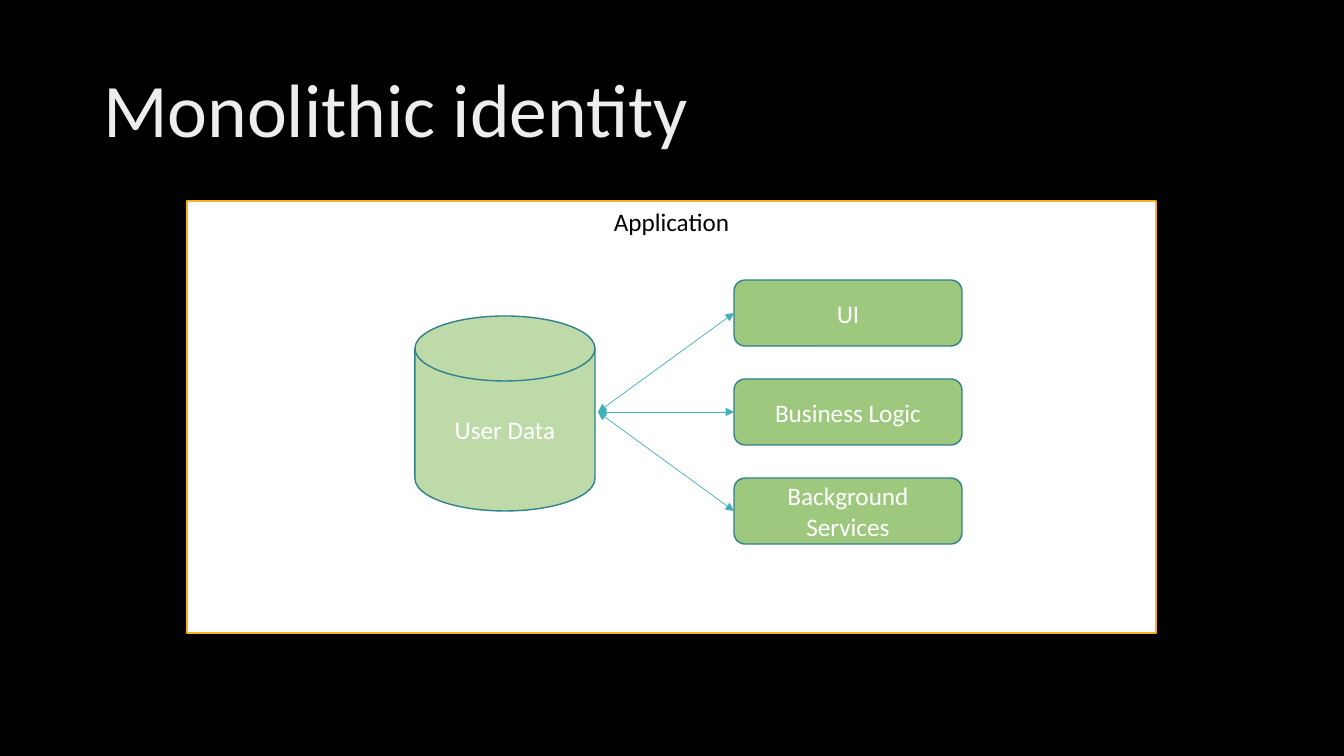
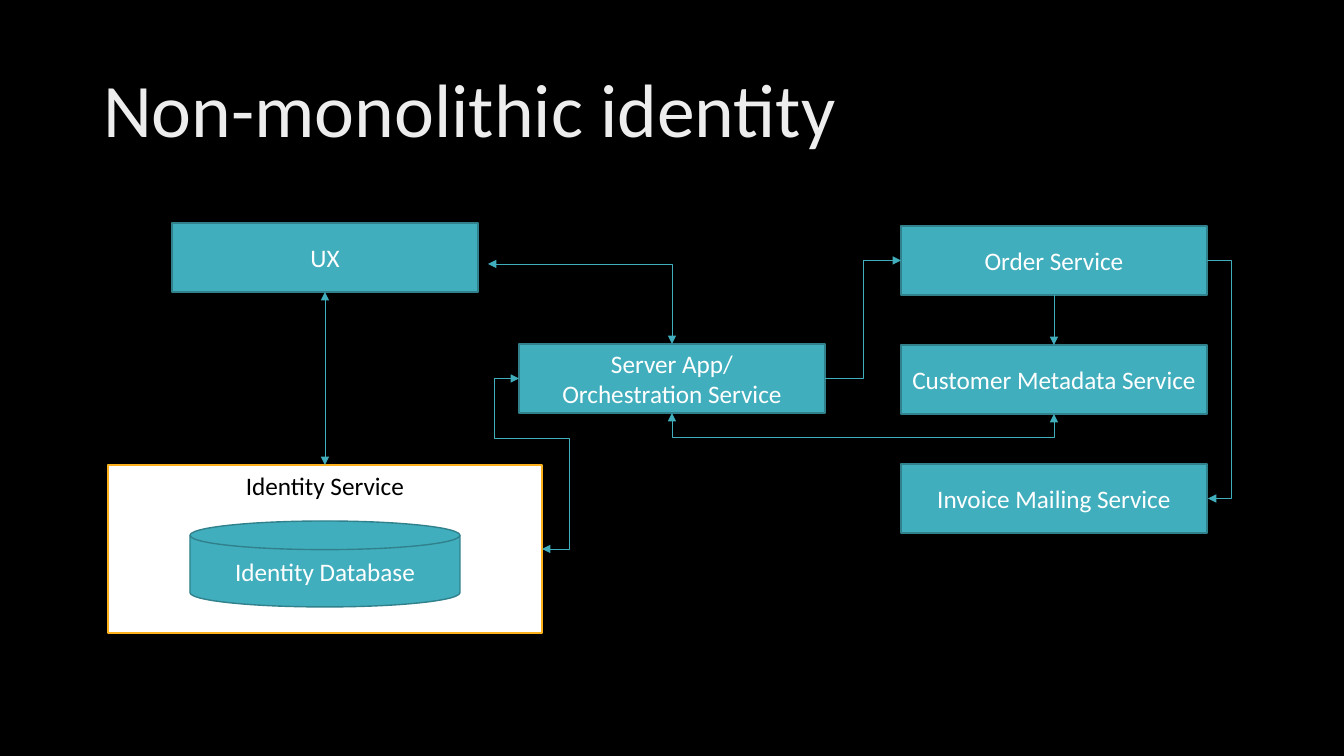
import pptx
import pptx.util
import pptx.dml.color
import pptx.enum.shapes
import pptx.enum.text
import pptx.oxml.ns
from lxml import etree

COLORS = {
    "background": "000000",
    "panel": "FFFFFF",
    "panel_line": "FCB11C",
    "panel_text": "000000",
    "teal": "41AEBD",
    "outline": "30818C",
    "green": "9EC87E",
    "pale_green": "BEDAA9",
    "text": "FFFFFF",
}
TITLE_STOPS = [(0, "BFBFBF"), (28, "EDEDED"), (100, "FFFFFF")]
TITLE_ANGLE = 80
FONT = "Calibri"
SHAPES = pptx.enum.shapes.MSO_SHAPE
CONNECTORS = pptx.enum.shapes.MSO_CONNECTOR
ANCHORS = pptx.enum.text.MSO_ANCHOR
ALIGNMENTS = pptx.enum.text.PP_ALIGN
TOP, LEFT, BOTTOM, RIGHT = range(4)


def px(length):
    """Turn pixels into EMU."""
    return pptx.util.Emu(round(length * 914400 / 100.8))


def rgb(name):
    """Look up a named colour."""
    return pptx.dml.color.RGBColor.from_string(COLORS[name])


def add_xml(parent, tag, **attributes):
    """Append a drawing element to a parent."""
    return etree.SubElement(parent, pptx.oxml.ns.qn(tag), attributes)


def add_run(paragraph, text, size):
    """Add one run in the deck's font."""
    run = paragraph.add_run()
    run.text = text
    run.font.name = FONT
    run.font.size = pptx.util.Pt(size)
    return run


def add_titled_slide(presentation, title):
    """Add a title-only slide with the gradient title."""
    slide = presentation.slides.add_slide(presentation.slide_layouts[5])
    shape = slide.shapes.title
    shape.left, shape.top, shape.width, shape.height = map(px, (93, 40, 1159, 146))
    frame = shape.text_frame
    frame.auto_size = pptx.enum.text.MSO_AUTO_SIZE.NONE
    frame.vertical_anchor = ANCHORS.MIDDLE
    paragraph = frame.paragraphs[0]
    paragraph.alignment = ALIGNMENTS.LEFT
    paragraph.line_spacing = 0.9
    run = add_run(paragraph, title, 54)
    fill = run.font.fill
    fill.gradient()
    fill.gradient_angle = 360 - TITLE_ANGLE
    stops = run._r.find(".//" + pptx.oxml.ns.qn("a:gsLst"))
    for stop in list(stops):
        stops.remove(stop)
    for position, color in TITLE_STOPS:
        stop = add_xml(stops, "a:gs", pos=str(position * 1000))
        add_xml(stop, "a:srgbClr", val=color)
    return slide


def add_box(slide, kind, box, text, fill="teal", line="outline",
            color="text", anchor=ANCHORS.MIDDLE):
    """Add a filled shape with centred text, one paragraph per line."""
    shape = slide.shapes.add_shape(kind, *map(px, box))
    shape.shadow.inherit = False
    shape.fill.solid()
    shape.fill.fore_color.rgb = rgb(fill)
    shape.line.color.rgb = rgb(line)
    shape.line.width = pptx.util.Pt(1)
    frame = shape.text_frame
    frame.word_wrap = True
    frame.vertical_anchor = anchor
    for index, words in enumerate(text.split("\n")):
        paragraph = frame.add_paragraph() if index else frame.paragraphs[0]
        paragraph.alignment = ALIGNMENTS.CENTER
        add_run(paragraph, words, 18).font.color.rgb = rgb(color)
    return shape


def add_panel(slide, box, text):
    """Add a white container with its label at the top."""
    return add_box(slide, SHAPES.RECTANGLE, box, text, "panel", "panel_line",
                   "panel_text", ANCHORS.TOP)


def locate(end):
    """Give the EMU position of a (shape, side) pair or an (x, y) point."""
    shape, side = end
    if isinstance(shape, int):
        return px(shape), px(side)
    across = {LEFT: 0, RIGHT: shape.width}.get(side, shape.width // 2)
    down = {TOP: 0, BOTTOM: shape.height}.get(side, shape.height // 2)
    return shape.left + across, shape.top + down


def add_arrow(slide, start, end, both=True, kind=CONNECTORS.STRAIGHT):
    """Add a thin arrow, joined to every shape it touches."""
    connector = slide.shapes.add_connector(kind, *locate(start), *locate(end))
    if not isinstance(start[0], int):
        connector.begin_connect(*start)
    if not isinstance(end[0], int):
        connector.end_connect(*end)
    connector.line.color.rgb = rgb("teal")
    connector.line.width = pptx.util.Pt(0.5)
    line = connector.line._get_or_add_ln()
    if both:
        add_xml(line, "a:headEnd", type="triangle")
    add_xml(line, "a:tailEnd", type="triangle")
    add_xml(connector.element.spPr, "a:effectLst")
    return connector


def add_elbow(slide, start, end, both=True, segments=3, bends=(), rotation=0, flip=""):
    """Add a bent arrow whose bends are pixel offsets from its start."""
    connector = add_arrow(slide, start, end, both, CONNECTORS.ELBOW)
    (start_x, start_y), (end_x, end_y) = locate(start), locate(end)
    width = max(abs(end_x - start_x), px(1))
    height = max(abs(end_y - start_y), px(1))
    if rotation == 270:
        width, height = height, width
    if rotation:
        connector.left = (start_x + end_x - width) // 2
        connector.top = (start_y + end_y - height) // 2
        frame = connector.element.spPr.find(pptx.oxml.ns.qn("a:xfrm"))
        frame.set("rot", str(rotation * 60000))
        frame.set("flipH", str(int("h" in flip)))
        frame.set("flipV", str(int("v" in flip)))
    connector.width, connector.height = width, height
    geometry = connector.element.spPr.find(pptx.oxml.ns.qn("a:prstGeom"))
    geometry.set("prst", f"bentConnector{segments}")
    guides = geometry.find(pptx.oxml.ns.qn("a:avLst"))
    for index, bend in enumerate(bends):
        extent = height if index % 2 else width
        ratio = round(px(bend) * 100000 / extent)
        add_xml(guides, "a:gd", name=f"adj{index + 1}", fmla=f"val {ratio}")
    return connector


def build_monolithic(presentation):
    """Build the slide with one application around its data."""
    slide = add_titled_slide(presentation, "Monolithic identity")
    add_panel(slide, (187, 201, 969, 432), "Application")
    add_box(slide, SHAPES.FLOWCHART_MAGNETIC_DISK, (415, 316, 180, 195),
            "User Data", "pale_green")
    layers = [
        add_box(slide, SHAPES.ROUNDED_RECTANGLE, (734, 280 + 99 * row, 228, 66),
                name, "green")
        for row, name in enumerate(["UI", "Business Logic", "Background Services"])
    ]
    for layer in layers:
        add_arrow(slide, (layer, LEFT), (598, 412))


def build_non_monolithic(presentation):
    """Build the slide with a separate identity service."""
    slide = add_titled_slide(presentation, "Non-monolithic identity")

    def add_service(left, top, text):
        """Add one service box of the shared size."""
        return add_box(slide, SHAPES.RECTANGLE, (left, top, 306, 69), text)

    identity = add_panel(slide, (108, 465, 434, 168), "Identity Service")
    add_box(slide, SHAPES.FLOWCHART_MAGNETIC_DISK, (190, 521, 270, 86),
            "Identity Database")
    names = ["Order Service", "Customer Metadata Service", "Invoice Mailing Service"]
    order, customer, invoice = [
        add_service(901, 226 + 119 * row, name) for row, name in enumerate(names)
    ]
    ux = add_service(172, 223, "UX")
    server = add_service(519, 344, "Server App/\nOrchestration Service")

    add_arrow(slide, (order, BOTTOM), (customer, TOP), both=False)
    add_arrow(slide, (ux, BOTTOM), (identity, TOP))
    add_elbow(slide, (order, RIGHT), (invoice, RIGHT), both=False, bends=[25])
    add_elbow(slide, (server, RIGHT), (order, LEFT), both=False)
    add_elbow(slide, (server, BOTTOM), (customer, BOTTOM), bends=[25],
              rotation=270, flip="h")
    add_elbow(slide, (488, 264), (server, TOP), segments=2)
    add_elbow(slide, (server, LEFT), (identity, RIGHT), segments=5,
              bends=[-25, 60, 50], rotation=180, flip="hv")


def main():
    """Build and save the deck."""
    presentation = pptx.Presentation()
    presentation.slide_width = px(1344)
    presentation.slide_height = px(756)
    background = presentation.slide_master.background.fill
    background.solid()
    background.fore_color.rgb = rgb("background")
    build_monolithic(presentation)
    build_non_monolithic(presentation)
    presentation.save("out.pptx")


if __name__ == "__main__":
    main()
